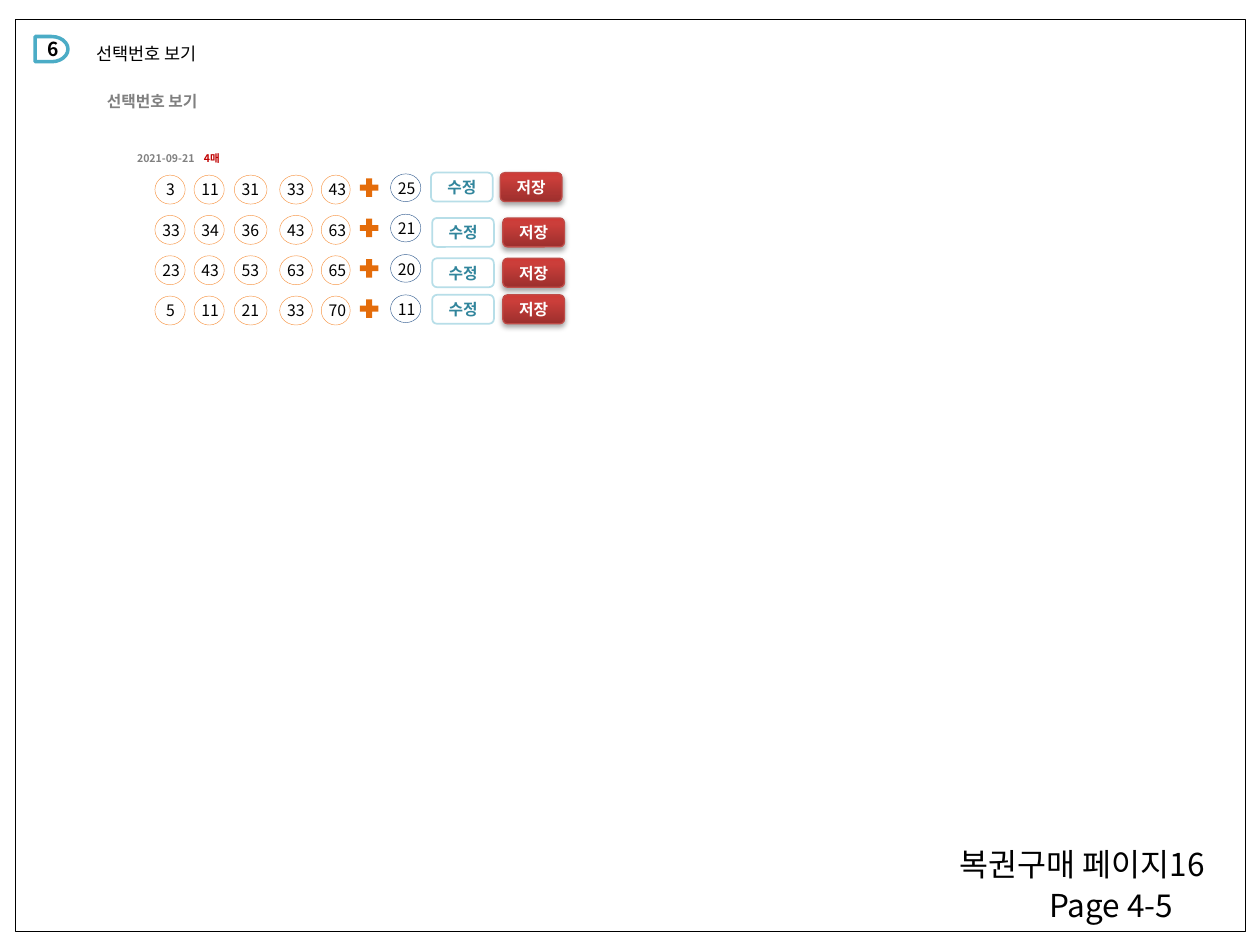
from lxml import etree
from pptx import Presentation
from pptx.dml.color import RGBColor
from pptx.enum.shapes import MSO_SHAPE
from pptx.enum.text import MSO_ANCHOR, PP_ALIGN
from pptx.oxml import parse_xml
from pptx.oxml.ns import qn
from pptx.util import Inches, Pt

RECT, DELAY, OVAL = MSO_SHAPE.RECTANGLE, MSO_SHAPE.FLOWCHART_DELAY, MSO_SHAPE.OVAL
PLUS, ROUND = MSO_SHAPE.MATH_PLUS, MSO_SHAPE.ROUNDED_RECTANGLE
MIDDLE, CENTER = MSO_ANCHOR.MIDDLE, PP_ALIGN.CENTER
FONT = "Noto Sans CJK KR"
NS = 'xmlns:a="http://schemas.openxmlformats.org/drawingml/2006/main"'

BLACK, WHITE, GRAY, RED = "000000", "FFFFFF", "808080", "C00000"
ORANGE, NAVY, TEAL = "F79646", "376092", "31859C"
STOPS = [(0, "9C2F2D"), (80, "CB3E3A"), (100, "CE3B37")]

# box, size, bold, runs of (text, colour)
LABELS = [
    ((0.67, 0.29, 7.72, 0.27), 10, False, [("선택번호 보기", BLACK)]),
    ((0.75, 0.68, 1.34, 0.25), 9, True, [("선택번호 보기", GRAY)]),
    ((8.23, 6.98, 2.05, 0.4), 18, False, [("Page 4-5", BLACK)]),
    ((7.52, 6.66, 2.52, 0.4), 18, False, [("복권구매 페이지16", BLACK)]),
    ((0.99, 1.16, 1.34, 0.2), 6, True, [("2021-09-21\t", GRAY), ("4매", RED)]),
]
DATE_TAB = 0.53

# five picks, bonus, left of edit button, left of save button, button top
TICKETS = [
    ([3, 11, 31, 33, 43], 25, 3.42, 3.97, 1.37),
    ([33, 34, 36, 43, 63], 21, 3.43, 3.99, 1.73),
    ([23, 43, 53, 63, 65], 20, 3.43, 3.99, 2.05),
    ([5, 11, 21, 33, 70], 11, 3.43, 3.99, 2.34),
]
BALLS = [(1.23, 0.24), (1.54, 0.24), (1.86, 0.26), (2.22, 0.26), (2.55, 0.23)]
BONUS = (3.1, 0.24)
TOP, PITCH = 1.39, 0.32

prs = Presentation()
prs.slide_width, prs.slide_height = Inches(10), Inches(7.5)
shapes = prs.slides.add_slide(prs.slide_layouts[6]).shapes


def color(code):
    return RGBColor.from_string(code)


def write(para, text, size, code, bold=False):
    run = para.add_run()
    run.text = text
    font = run.font
    font.size, font.bold, font.name = Pt(size), bold, FONT
    font.color.rgb = color(code)
    etree.SubElement(font._element, qn("a:ea"), typeface=FONT)


def label(box, size, bold, runs):
    frame = shapes.add_textbox(*map(Inches, box)).text_frame
    frame.word_wrap = True
    para = frame.paragraphs[0]
    if any("\t" in text for text, _ in runs):
        tabs = etree.SubElement(para._p.get_or_add_pPr(), qn("a:tabLst"))
        etree.SubElement(tabs, qn("a:tab"), pos=str(Inches(DATE_TAB)), algn="l")
    for text, code in runs:
        write(para, text, size, code, bold)


def draw(kind, box, fill=WHITE, line=None, width=0.25):
    shape = shapes.add_shape(kind, *map(Inches, box))
    shape.shadow.inherit = False
    shape.fill.solid()
    shape.fill.fore_color.rgb = color(fill)
    if line:
        shape.line.color.rgb = color(line)
        shape.line.width = Pt(width)
    else:
        shape.line.fill.background()
    return shape


def caption(shape, text, size, code):
    frame = shape.text_frame
    frame.vertical_anchor = MIDDLE
    para = frame.paragraphs[0]
    para.alignment = CENTER
    write(para, text, size, code, True)


def gloss(shape):
    """Give the shape a red gradient and a soft drop shadow."""
    stops = "".join(f'<a:gs pos="{pos * 1000}"><a:srgbClr val="{code}"/></a:gs>'
                    for pos, code in STOPS)
    grad = parse_xml(f'<a:gradFill {NS} rotWithShape="1"><a:gsLst>{stops}</a:gsLst>'
                     '<a:lin ang="16200000" scaled="0"/></a:gradFill>')
    props = shape._element.spPr
    props.replace(props.find(qn("a:solidFill")), grad)
    props.find(qn("a:effectLst")).append(parse_xml(
        f'<a:outerShdw {NS} blurRad="{Pt(3.1)}" dist="{Pt(1.8)}" dir="5400000" '
        'rotWithShape="0"><a:srgbClr val="000000"><a:alpha val="35000"/>'
        '</a:srgbClr></a:outerShdw>'))


def ball(left, width, top, height, line):
    draw(OVAL, (left, top, width, height), line=line)


def number(value, left, top):
    shift = 0.01 if value < 10 else 0.04
    label((left - shift, top, 0.36, 0.25), 9, False, [(str(value), BLACK)])


draw(RECT, (0.12, 0.15, 9.76, 7.24), line=BLACK)
badge = draw(DELAY, (0.28, 0.29, 0.26, 0.2), line="4BACC6", width=2)
caption(badge, "6", 11, BLACK)
for item in LABELS:
    label(*item)

for row, (picks, bonus, edit, save, high) in enumerate(TICKETS):
    top = TOP + row * PITCH
    for pick, (left, width) in zip(picks, BALLS):
        ball(left, width, top, 0.23, ORANGE)
        number(pick, left, top - 0.01)
    draw(PLUS, (2.83, top, 0.2, 0.2), "E46C0A")
    ball(*BONUS, top - 0.01, 0.22, NAVY)
    number(bonus, BONUS[0], top - 0.02)

    caption(draw(ROUND, (edit, high, 0.49, 0.23), line="B7DEE8", width=1),
            "수정", 9, TEAL)
    button = draw(ROUND, (save, high, 0.49, 0.23), line="BF4C48", width=0.75)
    gloss(button)
    caption(button, "저장", 9, WHITE)

prs.save("out.pptx")
